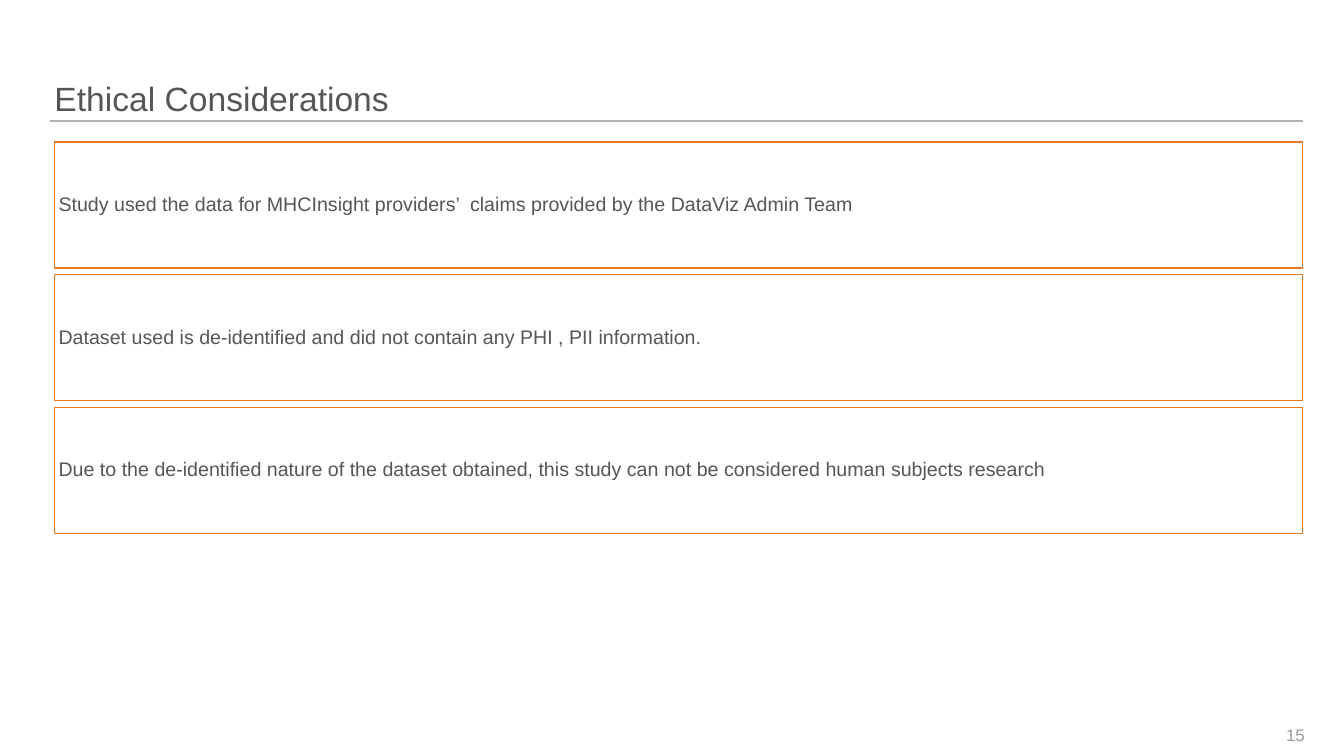
from dataclasses import dataclass

from lxml.etree import SubElement
from pptx import Presentation
from pptx.dml.color import RGBColor
from pptx.enum.shapes import MSO_CONNECTOR, MSO_SHAPE
from pptx.enum.text import MSO_ANCHOR, PP_ALIGN
from pptx.oxml.ns import qn
from pptx.shapes.autoshape import Shape
from pptx.slide import Slide
from pptx.util import Inches, Pt


@dataclass(frozen=True)
class Theme:
    font: str = "Arial"
    ink: RGBColor = RGBColor(0x55, 0x56, 0x5A)
    rule: RGBColor = RGBColor(0xB1, 0xB3, 0xB3)
    accent: RGBColor = RGBColor(0xE8, 0x77, 0x22)
    muted: RGBColor = RGBColor(0x99, 0x9A, 0x9B)
    title_size: Pt = Pt(24)
    body_size: Pt = Pt(14)
    number_size: Pt = Pt(12)
    line_width: Pt = Pt(1)


@dataclass(frozen=True)
class Label:
    text: str
    size: Pt
    color: RGBColor
    anchor: MSO_ANCHOR = MSO_ANCHOR.MIDDLE
    align: PP_ALIGN = PP_ALIGN.LEFT
    inset: float = 0
    line_spacing: float = 0.9


THEME = Theme()
LEFT, WIDTH = 0.54, 12.38
FIRST_TOP, BOX_HEIGHT, BOX_PITCH = 1.41, 1.25, 1.315

CONSIDERATIONS = (
    "Study used the data for MHCInsight providers’  claims provided by the DataViz Admin Team",
    "Dataset used is de-identified and did not contain any PHI , PII information.",
    "Due to the de-identified nature of the dataset obtained, "
    "this study can not be considered human subjects research",
)


def write_label(holder: Shape, label: Label) -> None:
    frame = holder.text_frame
    frame.word_wrap = True
    frame.vertical_anchor = label.anchor
    frame.margin_left = frame.margin_right = Inches(label.inset)
    frame.margin_top = frame.margin_bottom = Inches(label.inset)
    paragraph = frame.paragraphs[0]
    paragraph.alignment = label.align
    paragraph.line_spacing = label.line_spacing
    run = paragraph.add_run()
    run.text = label.text
    run.font.name = THEME.font
    run.font.size = label.size
    run.font.color.rgb = label.color


def add_label(slide: Slide, left: float, top: float, width: float, height: float,
              label: Label) -> None:
    holder = slide.shapes.add_textbox(Inches(left), Inches(top), Inches(width), Inches(height))
    write_label(holder, label)


def add_title_rule(slide: Slide) -> None:
    rule = slide.shapes.add_connector(
        MSO_CONNECTOR.STRAIGHT, Inches(0.5), Inches(1.2), Inches(12.92), Inches(1.2))
    rule.line.color.rgb = THEME.rule
    rule.line.width = THEME.line_width
    SubElement(rule.element.spPr, qn("a:effectLst"))


def add_consideration(slide: Slide, top: float, text: str) -> None:
    box = slide.shapes.add_shape(
        MSO_SHAPE.RECTANGLE, Inches(LEFT), Inches(top), Inches(WIDTH), Inches(BOX_HEIGHT))
    box.shadow.inherit = False
    box.fill.background()
    box.line.color.rgb = THEME.accent
    box.line.width = THEME.line_width
    write_label(box, Label(text, THEME.body_size, THEME.ink, inset=0.04))


def main() -> None:
    presentation = Presentation()
    presentation.slide_width = Inches(13.33)
    presentation.slide_height = Inches(7.5)
    slide = presentation.slides.add_slide(presentation.slide_layouts[6])

    add_title_rule(slide)
    add_label(slide, LEFT, 0.45, WIDTH, 0.73,
              Label("Ethical Considerations", THEME.title_size, THEME.ink, MSO_ANCHOR.BOTTOM))
    for index, text in enumerate(CONSIDERATIONS):
        add_consideration(slide, FIRST_TOP + index * BOX_PITCH, text)
    add_label(slide, 12.27, 7.09, 0.67, 0.4,
              Label("15", THEME.number_size, THEME.muted, align=PP_ALIGN.RIGHT, line_spacing=1.0))

    presentation.save("out.pptx")


if __name__ == "__main__":
    main()
